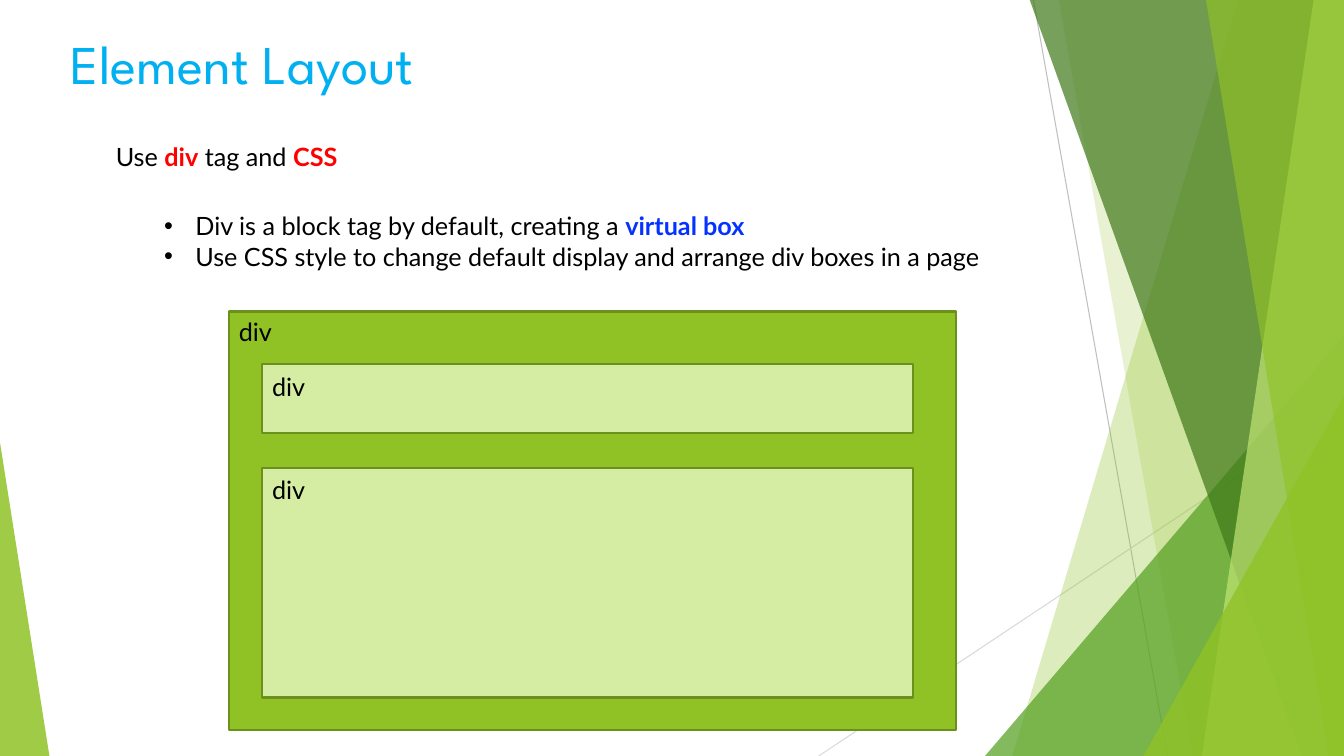
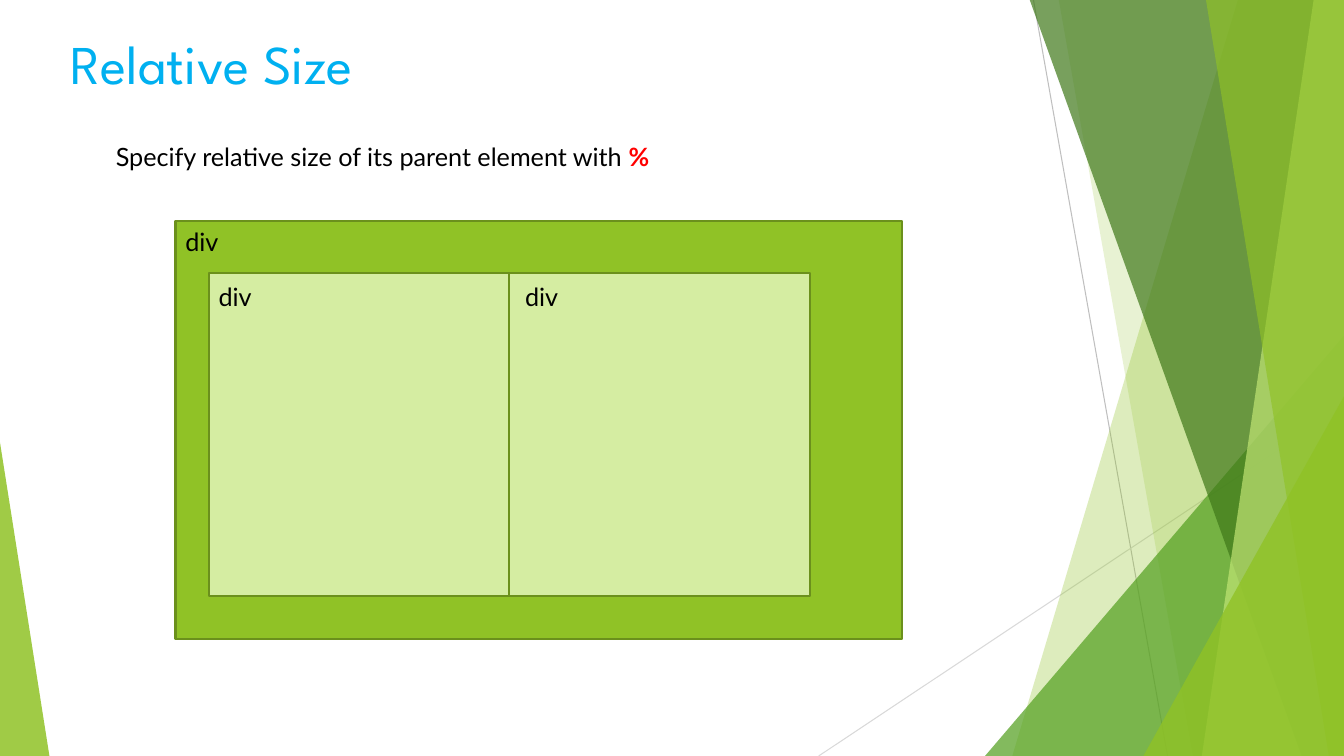
import lxml.etree
import pptx
import pptx.dml.color
import pptx.enum.shapes
import pptx.enum.text
import pptx.oxml.ns
import pptx.util

Inches = pptx.util.Inches
Pt = pptx.util.Pt
SHAPE = pptx.enum.shapes.MSO_SHAPE
ANCHOR = pptx.enum.text.MSO_ANCHOR
FIT = pptx.enum.text.MSO_AUTO_SIZE
ALIGN = pptx.enum.text.PP_ALIGN
WIDTH, HEIGHT = 13.33, 7.5


def color(code):
    return pptx.dml.color.RGBColor.from_string(code)


def node(parent, tag, **attrs):
    return lxml.etree.SubElement(parent, pptx.oxml.ns.qn(tag), attrs)


def write(para, text, size=18, font="Lato", ink="000000", bold=False):
    run = para.add_run()
    run.text = text
    run.font.size = Pt(size)
    run.font.name = font
    run.font.bold = bold
    run.font.color.rgb = color(ink)


class Deck:
    LIME, PALE, EDGE = "90C226", "D5EDA2", "6B901C"
    LEAF, PINE, MINT = "54A021", "3F7819", "C0E474"
    SKY, RED, BLUE = "00B0F0", "FF0000", "0432FF"

    def __init__(self):
        self.show = pptx.Presentation()
        self.show.slide_width = Inches(WIDTH)
        self.show.slide_height = Inches(HEIGHT)
        self.slide = None

    def page(self, title):
        layout = self.show.slide_layouts.get_by_name("Title Only")
        self.slide = self.show.slides.add_slide(layout)
        self.decor()
        head = self.slide.shapes.title
        head.left, head.top = Inches(0.6), Inches(-0.1)
        head.width, head.height = Inches(11.18), Inches(1.44)
        frame = head.text_frame
        frame.auto_size = FIT.NONE
        frame.vertical_anchor = ANCHOR.MIDDLE
        para = frame.paragraphs[0]
        para.alignment = ALIGN.LEFT
        write(para, title, size=39, font="League Spartan", ink=self.SKY)

    def decor(self):
        self.line(10.25, 0, 11.58, HEIGHT, "BFBFBF")
        self.line(WIDTH, 4.03, 8.12, HEIGHT, "D9D9D9")
        self.wedge(12.28, 10.04, self.LIME, 30)
        self.wedge(10.5, 11.83, self.LIME, 20)
        self.corner(9.77, 3.56, 4.17, 1, self.LEAF, 72)
        self.wedge(10.21, 12.91, self.PINE, 70)
        self.wedge(13.03, 11.92, self.MINT, 70)
        self.wedge(11.96, 13.18, self.LIME, 65)
        self.corner(11.34, 1.99, 3.57, 1, self.LIME, 80)
        self.corner(0, 0.49, 3.11, 0, self.LIME, 85)

    def line(self, x1, y1, x2, y2, ink):
        ends = [Inches(n) for n in (x1, y1, x2, y2)]
        kind = pptx.enum.shapes.MSO_CONNECTOR.STRAIGHT
        link = self.slide.shapes.add_connector(kind, *ends)
        link.line.color.rgb = color(ink)
        link.line.width = Pt(0.75)
        node(link._element.spPr, "a:effectLst")

    def paint(self, shape, fill, alpha=100, edge=None):
        shape.shadow.inherit = False
        shape.fill.solid()
        shape.fill.fore_color.rgb = color(fill)
        if alpha < 100:
            solid = shape._element.spPr.find(pptx.oxml.ns.qn("a:solidFill"))
            node(solid[0], "a:alpha", val=str(alpha * 1000))
        if edge:
            shape.line.color.rgb = color(edge)
            shape.line.width = Pt(1.5)
        else:
            shape.line.fill.background()

    def wedge(self, top, base, fill, alpha):
        high = -0.01
        spots = [(WIDTH, high), (WIDTH, HEIGHT), (base, HEIGHT)]
        pen = self.slide.shapes.build_freeform(Inches(top), Inches(high))
        pen.add_line_segments([(Inches(x), Inches(y)) for x, y in spots])
        self.paint(pen.convert_to_shape(), fill, alpha)

    def shape(self, kind, x, y, w, h):
        spot = [Inches(n) for n in (x, y, w, h)]
        return self.slide.shapes.add_shape(kind, *spot)

    def corner(self, x, w, h, peak, fill, alpha):
        shape = self.shape(SHAPE.ISOSCELES_TRIANGLE, x, HEIGHT - h, w, h)
        shape.adjustments[0] = peak
        self.paint(shape, fill, alpha)

    def text(self, x, y, w, *paras, h=0.4, dots=False, lead=None):
        spot = [Inches(n) for n in (x, y, w, h)]
        frame = self.slide.shapes.add_textbox(*spot).text_frame
        frame.word_wrap = False
        frame.auto_size = FIT.SHAPE_TO_FIT_TEXT
        for i, parts in enumerate(paras):
            para = frame.add_paragraph() if i else frame.paragraphs[0]
            if lead and not i:
                para.line_spacing = lead
            if dots:
                props = para._p.get_or_add_pPr()
                props.set("marL", str(Inches(0.31)))
                props.set("indent", str(Inches(-0.31)))
                node(props, "a:buFont", typeface="Arial")
                node(props, "a:buChar", char="•")
            for words, style in parts:
                write(para, words, **style)

    def box(self, x, y, w, h, fill, dx=0, dy=0):
        shape = self.shape(SHAPE.RECTANGLE, x, y, w, h)
        self.paint(shape, fill, edge=self.EDGE)
        self.text(x + dx, y + dy, 0.54, [("div", {})])


def main():
    deck = Deck()
    red = {"ink": deck.RED, "bold": True}
    blue = {"ink": deck.BLUE, "bold": True}

    deck.page("Element Layout")
    deck.text(1.05, 1.35, 2.45, [("Use ", {}), ("div", red),
                                 (" tag and ", {}), ("CSS", red)])
    deck.text(
        1.53, 1.89, 8.53,
        [("Div is a block tag by default, creating a ", {}),
         ("virtual box", blue)],
        [("Use CSS style to change default display and arrange "
          "div boxes in a page", {})],
        h=0.86, dots=True, lead=1.5)
    deck.box(2.27, 3.09, 7.21, 4.15, deck.LIME)
    for y, h in ((3.61, 0.69), (4.64, 2.28)):
        deck.box(2.6, y, 6.46, h, deck.PALE, dy=0.02)

    deck.page("Relative Size")
    deck.text(1.05, 1.35, 5.76, [
        ("Specify relative size of its parent element with ", {}),
        ("%", red)])
    deck.box(1.74, 2.19, 7.21, 4.15, deck.LIME, dy=0.01)
    wide = 2.98
    for i in range(2):
        deck.box(2.07 + i * wide, 2.71, wide, 3.2, deck.PALE,
                 dx=i * 0.06, dy=0.03)

    deck.show.save("out.pptx")


if __name__ == "__main__":
    main()
